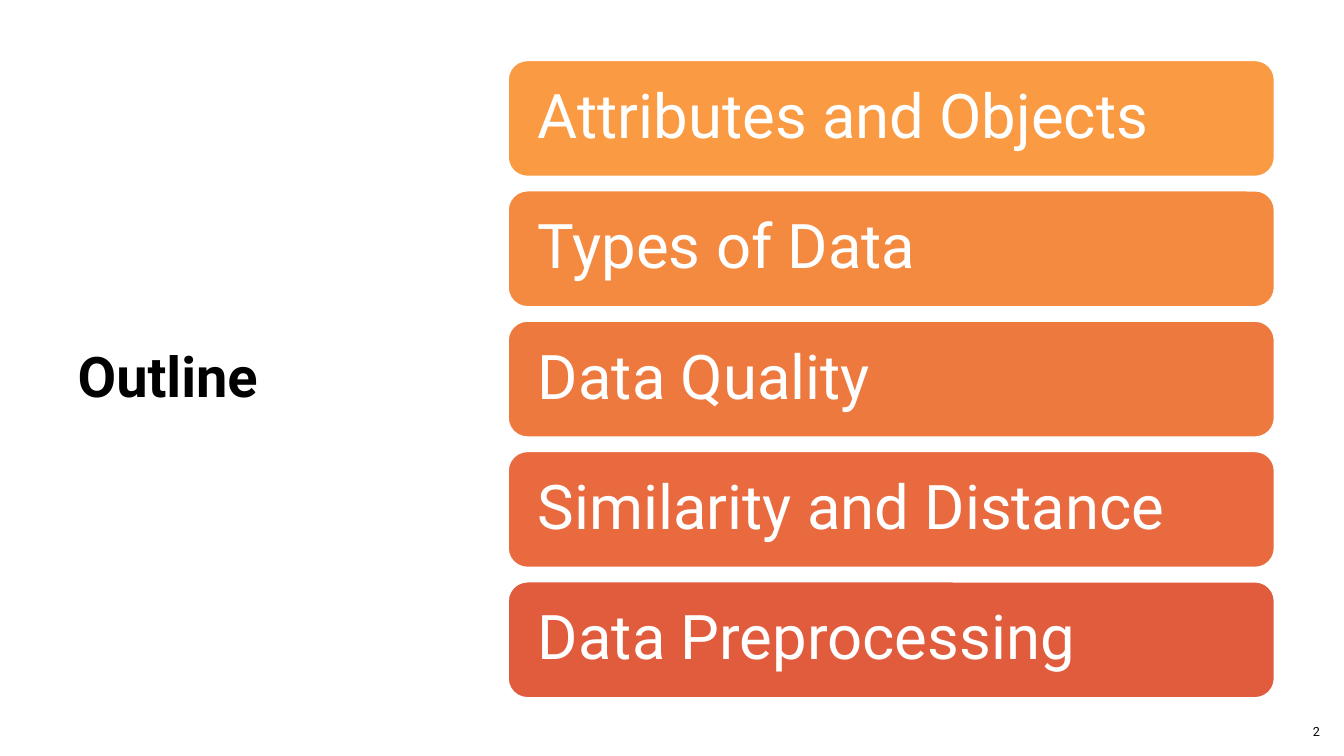
from dataclasses import dataclass

from pptx import Presentation
from pptx.dml.color import RGBColor
from pptx.enum.shapes import MSO_SHAPE
from pptx.enum.text import MSO_ANCHOR, PP_ALIGN
from pptx.slide import Slide
from pptx.text.text import TextFrame
from pptx.util import Inches, Pt

COLORS = {
    "black": "000000",
    "white": "FFFFFF",
    "amber": "FA9A42",
    "orange": "F48940",
    "tangerine": "EE793F",
    "coral": "E86A3E",
    "red": "E15C3D",
}
FONT = "Roboto"
BAR_LEFT, BAR_TOP, BAR_WIDTH, BAR_HEIGHT = 5.04, 0.6, 7.6, 1.15
BAR_PITCH = 1.293
BAR_INSET = 0.24


@dataclass
class Topic:
    text: str
    color: str


TOPICS = [
    Topic("Attributes and Objects", "amber"),
    Topic("Types of Data", "orange"),
    Topic("Data Quality", "tangerine"),
    Topic("Similarity and Distance", "coral"),
    Topic("Data Preprocessing", "red"),
]


def rgb(name: str) -> RGBColor:
    return RGBColor.from_string(COLORS[name])


def write(tf: TextFrame, text: str, size: int, color: str, bold: bool = False,
          align: PP_ALIGN = PP_ALIGN.LEFT, spacing: float = 0.9) -> None:
    tf.word_wrap = True
    tf.vertical_anchor = MSO_ANCHOR.MIDDLE
    p = tf.paragraphs[0]
    p.alignment = align
    p.line_spacing = spacing
    r = p.add_run()
    r.text = text
    r.font.name = FONT
    r.font.size = Pt(size)
    r.font.bold = bold
    r.font.color.rgb = rgb(color)


def add_title(s: Slide, text: str) -> None:
    sp = s.shapes.title
    sp.left, sp.top = Inches(0.67), Inches(0.6)
    sp.width, sp.height = Inches(3.82), Inches(6.33)
    write(sp.text_frame, text, 40, "black", bold=True)


def add_topic(s: Slide, topic: Topic, row: int) -> None:
    sp = s.shapes.add_shape(
        MSO_SHAPE.ROUNDED_RECTANGLE,
        Inches(BAR_LEFT), Inches(BAR_TOP + row * BAR_PITCH),
        Inches(BAR_WIDTH), Inches(BAR_HEIGHT),
    )
    sp.shadow.inherit = False
    sp.fill.solid()
    sp.fill.fore_color.rgb = rgb(topic.color)
    sp.line.color.rgb = rgb("white")
    sp.line.width = Pt(1)
    tf = sp.text_frame
    tf.margin_left = tf.margin_right = Inches(BAR_INSET)
    tf.margin_top = tf.margin_bottom = Inches(BAR_INSET)
    write(tf, topic.text, 44, "white")


def add_page_number(s: Slide, number: str) -> None:
    sp = s.shapes.add_textbox(Inches(12.72), Inches(7.06), Inches(0.47), Inches(0.4))
    write(sp.text_frame, number, 9, "black", align=PP_ALIGN.RIGHT, spacing=1.0)


def main() -> None:
    prs = Presentation()
    prs.slide_width, prs.slide_height = Inches(13.33), Inches(7.5)
    s = prs.slides.add_slide(prs.slide_layouts[5])
    add_title(s, "Outline")
    for row, topic in enumerate(TOPICS):
        add_topic(s, topic, row)
    add_page_number(s, "2")
    prs.save("out.pptx")


if __name__ == "__main__":
    main()
